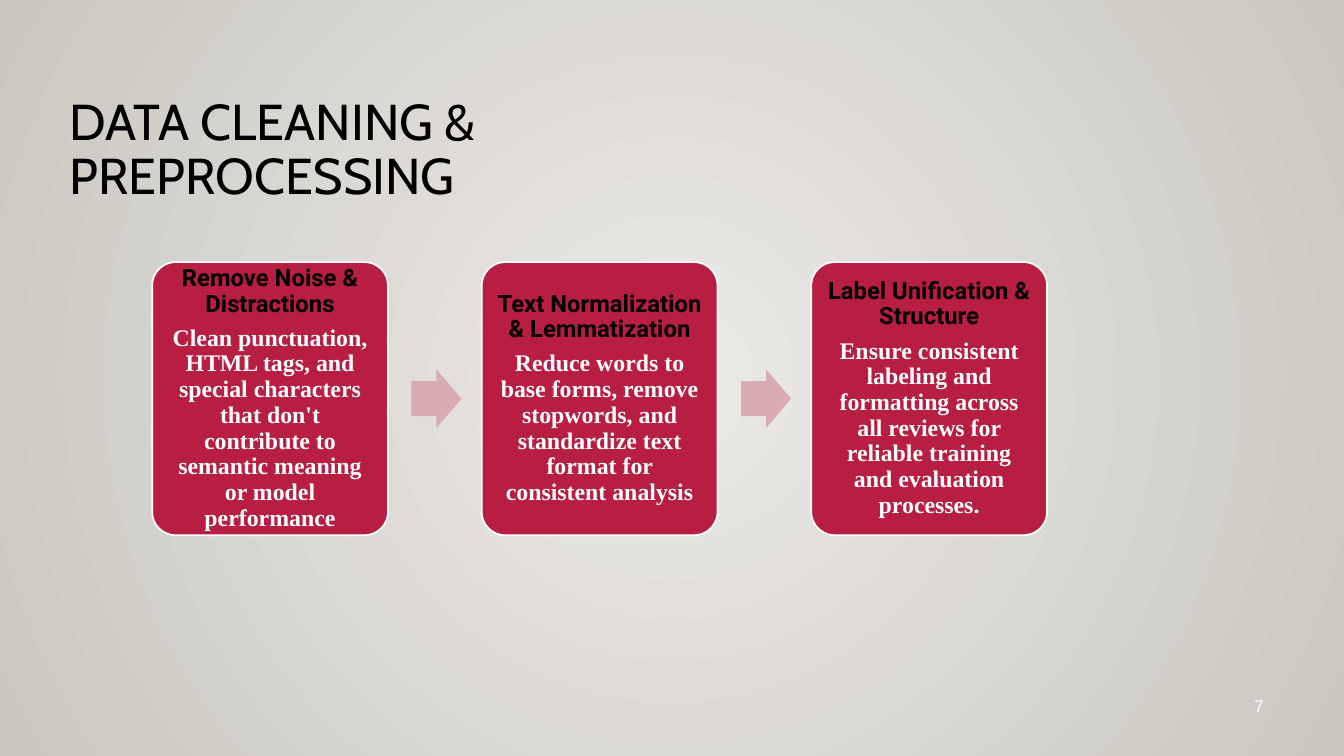
"""Build the data cleaning and preprocessing slide."""
from lxml import etree
from pptx import Presentation
from pptx import util as u
from pptx.dml import color
from pptx.enum import shapes, text
from pptx.oxml import ns

COLORS = {
    "crimson": "B71E42",
    "pink": "D8ACB0",
    "white": "FFFFFF",
    "black": "000000",
    "center": "ECEAE7",
    "edge": "CAC7C1",
}
STEPS = [
    ("Remove Noise & Distractions",
     "Clean punctuation, HTML tags, and special characters that don't "
     "contribute to semantic meaning or model performance"),
    ("Text Normalization & Lemmatization",
     "Reduce words to base forms, remove stopwords, and standardize text "
     "format for consistent analysis"),
    ("Label Unification & Structure",
     "Ensure consistent labeling and formatting across all reviews for "
     "reliable training and evaluation processes."),
]
BOX_LEFT, BOX_TOP, BOX_WIDTH, BOX_HEIGHT = 108.7, 187.2, 168.5, 195.1
STEP_PITCH = 235.4
ARROW_OFFSET, ARROW_WIDTH, ARROW_HEIGHT = 185.2, 35.8, 41.8
CENTERED = {"alignment": text.PP_ALIGN.CENTER}
STEP_TEXT = {**CENTERED, "line_spacing": 0.9, "space_after": u.Pt(6)}


def rgb(name):
    """Return the named colour."""
    return color.RGBColor.from_string(COLORS[name])


def apply(target, values):
    """Set every attribute in the dict on the target."""
    for name, value in values.items():
        setattr(target, name, value)


class SlideBuilder:
    """Hold the style and the current slide."""

    def __init__(self, presentation):
        self.slide = presentation.slides.add_slide(presentation.slide_layouts[5])

    def background(self, *names):
        """Fill the background with a radial gradient."""
        fill = self.slide.background.fill
        fill.gradient()
        for stop, name in zip(fill.gradient_stops, names):
            stop.color.rgb = rgb(name)
        gradient = self.slide.element.find(".//" + ns.qn("a:gradFill"))
        linear = gradient.find(ns.qn("a:lin"))
        circle = etree.Element(ns.qn("a:path"), {"path": "circle"})
        sides = dict.fromkeys("ltrb", "50000")
        etree.SubElement(circle, ns.qn("a:fillToRect"), sides)
        gradient.replace(linear, circle)

    def frame(self, shape, anchor, margin=None):
        """Prepare the text frame of a shape."""
        frame = shape.text_frame
        apply(frame, {"word_wrap": True, "auto_size": text.MSO_AUTO_SIZE.NONE,
                      "vertical_anchor": anchor})
        if margin is not None:
            sides = ("left", "top", "right", "bottom")
            apply(frame, {f"margin_{side}": u.Pt(margin) for side in sides})
        return frame

    def add_words(self, paragraph, words, name, size, ink, bold=False, layout=None):
        """Add one formatted run to a paragraph."""
        apply(paragraph, layout or {})
        run = paragraph.add_run()
        run.text = words
        apply(run.font, {"name": name, "size": u.Pt(size), "bold": bold})
        run.font.color.rgb = rgb(ink)

    def title(self, words, left, top, width, height):
        """Place and fill the title placeholder."""
        title = self.slide.shapes.title
        apply(title, {"left": u.Pt(left), "top": u.Pt(top),
                      "width": u.Pt(width), "height": u.Pt(height)})
        frame = self.frame(title, text.MSO_ANCHOR.BOTTOM)
        self.add_words(frame.paragraphs[0], words, "Cabin", 36, "black",
                       layout={"alignment": text.PP_ALIGN.LEFT, "line_spacing": 0.9})

    def label(self, words, *place):
        """Add a small centred text box."""
        box = self.slide.shapes.add_textbox(*map(u.Pt, place))
        frame = self.frame(box, text.MSO_ANCHOR.MIDDLE)
        self.add_words(frame.paragraphs[0], words, "Arial", 12, "white",
                       layout=CENTERED)

    def preset(self, kind, fill, adjustments, *place):
        """Add a filled preset shape without outline or shadow."""
        shape = self.slide.shapes.add_shape(kind, *map(u.Pt, place))
        shape.shadow.inherit = False
        shape.fill.solid()
        shape.fill.fore_color.rgb = rgb(fill)
        shape.line.fill.background()
        for index, value in enumerate(adjustments):
            shape.adjustments[index] = value
        return shape

    def step(self, heading, body, *place):
        """Add a rounded box with a heading and a description."""
        box = self.preset(shapes.MSO_SHAPE.ROUNDED_RECTANGLE, "crimson", [0.1], *place)
        box.line.color.rgb = rgb("white")
        box.line.width = u.Pt(1.25)
        frame = self.frame(box, text.MSO_ANCHOR.MIDDLE, 5)
        self.add_words(frame.paragraphs[0], heading, "Roboto", 17, "black",
                       True, STEP_TEXT)
        self.add_words(frame.add_paragraph(), body, "Times New Roman", 17, "white",
                       True, STEP_TEXT)

    def arrow(self, *place):
        """Add a block arrow pointing to the next step."""
        self.preset(shapes.MSO_SHAPE.RIGHT_ARROW, "pink", [0.6, 0.5], *place)


def main():
    """Create and save the presentation."""
    presentation = Presentation()
    apply(presentation, {"slide_width": u.Pt(960), "slide_height": u.Pt(540)})
    builder = SlideBuilder(presentation)
    builder.background("center", "edge")
    builder.title("DATA CLEANING & PREPROCESSING", 42.5, 19.4, 458.6, 131)
    builder.label("7", 881.3, 489.6, 36, 28.8)
    arrow_top = BOX_TOP + (BOX_HEIGHT - ARROW_HEIGHT) / 2
    for index, (heading, body) in enumerate(STEPS):
        left = BOX_LEFT + index * STEP_PITCH
        builder.step(heading, body, left, BOX_TOP, BOX_WIDTH, BOX_HEIGHT)
        if index < len(STEPS) - 1:
            builder.arrow(left + ARROW_OFFSET, arrow_top, ARROW_WIDTH, ARROW_HEIGHT)
    presentation.save("out.pptx")


if __name__ == "__main__":
    main()
